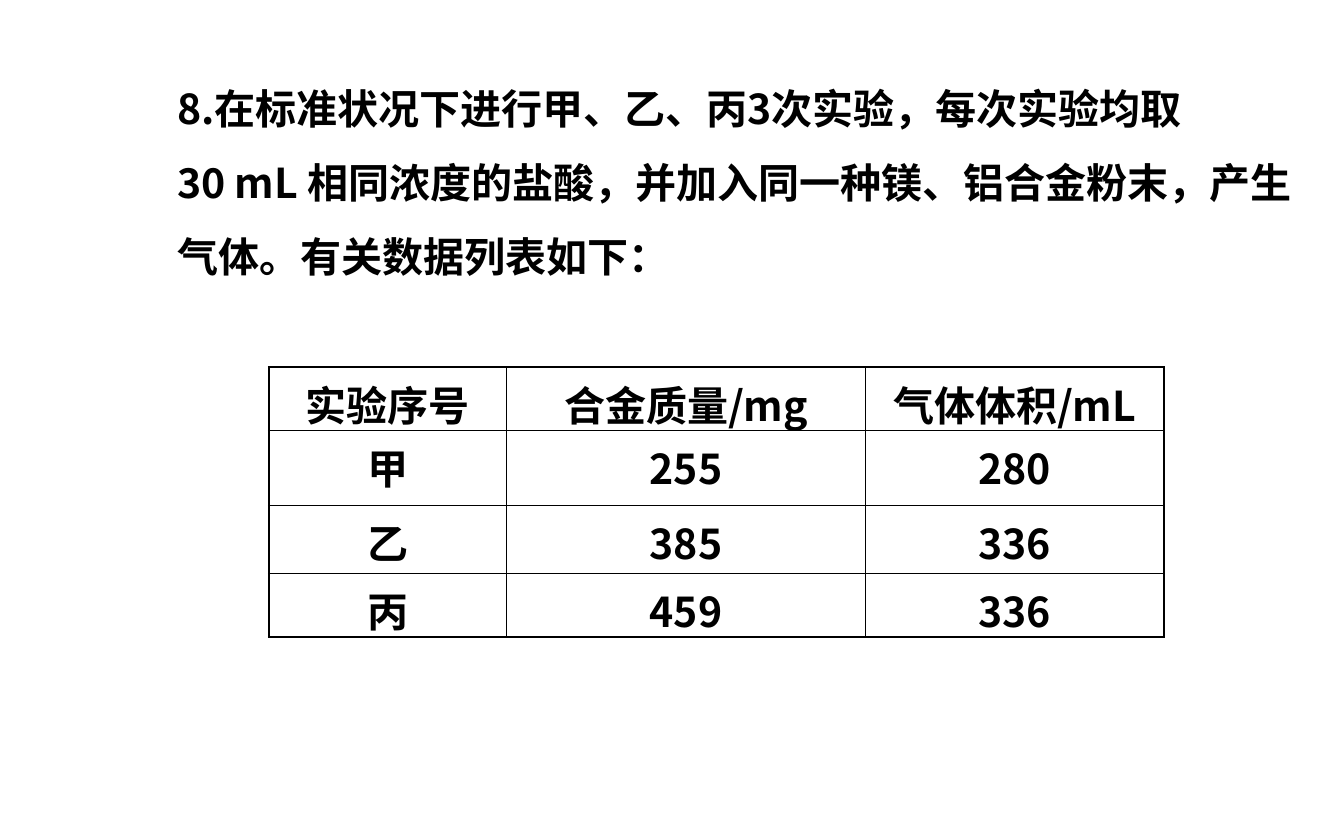
from lxml import etree
from pptx import Presentation, util as u
from pptx.dml.color import RGBColor
from pptx.enum import text
from pptx.oxml.ns import qn

COLORS = {"ink": "000000"}
FONT = "Noto Sans CJK SC"
THICK, THIN = 1.08, 0.45
COLUMNS = [1.77, 2.67, 2.22]
ROWS = [0.47, 0.56, 0.51, 0.47]
QUESTION = [
    "8.在标准状况下进行甲、乙、丙3次实验，每次实验均取",
    "30 mL 相同浓度的盐酸，并加入同一种镁、铝合金粉末，产生气体。有关数据列表如下：",
]
RESULTS = [
    ["实验序号", "合金质量/mg", "气体体积/mL"],
    ["甲", "255", "280"],
    ["乙", "385", "336"],
    ["丙", "459", "336"],
]


def style_paragraph(para):
    font = para.font
    font.size = u.Pt(22)
    font.bold = True
    font.name = FONT
    font.color.rgb = RGBColor.from_string(COLORS["ink"])
    east_asian = etree.SubElement(font._element, qn("a:ea"))
    east_asian.set("typeface", FONT)


def add_question(page, left, top, width, height):
    box = page.shapes.add_textbox(left, top, width, height)
    frame = box.text_frame
    frame.word_wrap = True
    frame.text = "\n".join(QUESTION)
    for para in frame.paragraphs:
        para.line_spacing = 1.5
        style_paragraph(para)


def set_borders(cell, widths):
    properties = cell._tc.get_or_add_tcPr()
    for index, (side, width) in enumerate(widths.items()):
        line = etree.Element(qn(f"a:ln{side}"), w=str(u.Pt(width)))
        fill = etree.SubElement(line, qn("a:solidFill"))
        etree.SubElement(fill, qn("a:srgbClr"), val=COLORS["ink"])
        properties.insert(index, line)


def add_results(page, left, top):
    row_count, column_count = len(ROWS), len(COLUMNS)
    frame = page.shapes.add_table(
        row_count, column_count, left, top,
        u.Inches(sum(COLUMNS)), u.Inches(sum(ROWS)))
    table = frame.table
    table.first_row = table.horz_banding = False
    for column, width in zip(table.columns, COLUMNS):
        column.width = u.Inches(width)
    for row, height in zip(table.rows, ROWS):
        row.height = u.Inches(height)
    for r, values in enumerate(RESULTS):
        for c, value in enumerate(values):
            cell = table.cell(r, c)
            cell.text = value
            cell.fill.background()
            para = cell.text_frame.paragraphs[0]
            para.alignment = text.PP_ALIGN.CENTER
            style_paragraph(para)
            set_borders(cell, {
                "L": THICK if c == 0 else THIN,
                "R": THICK if c == column_count - 1 else THIN,
                "T": THICK if r == 0 else THIN,
                "B": THICK if r == row_count - 1 else THIN,
            })


def main():
    deck = Presentation()
    deck.slide_width, deck.slide_height = u.Inches(10), u.Inches(6.25)
    page = deck.slides.add_slide(deck.slide_layouts[6])
    add_question(page, u.Inches(1.22), u.Inches(0.39), u.Inches(8.55), u.Inches(1.75))
    add_results(page, u.Inches(2), u.Inches(2.73))
    deck.save("out.pptx")


if __name__ == "__main__":
    main()
